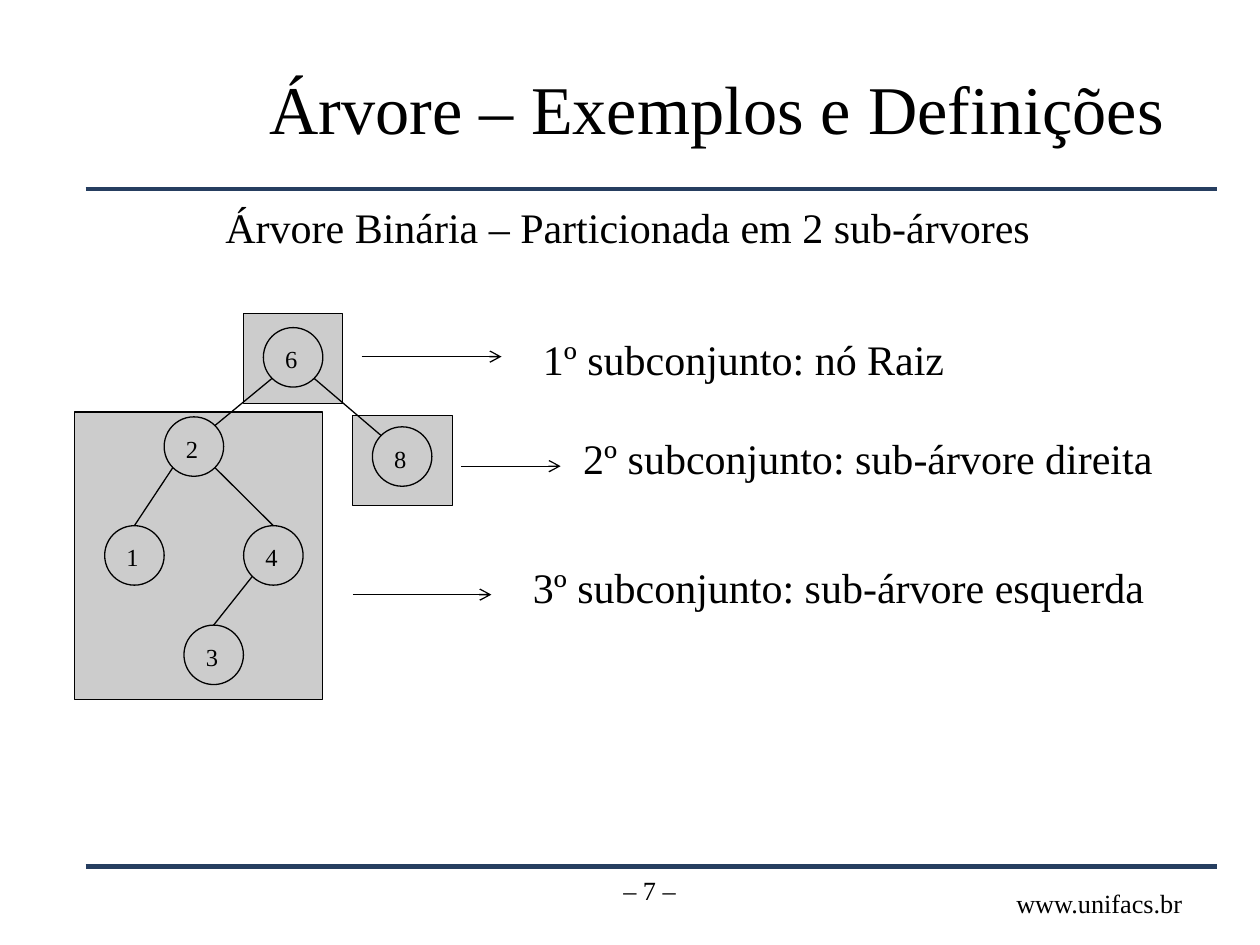
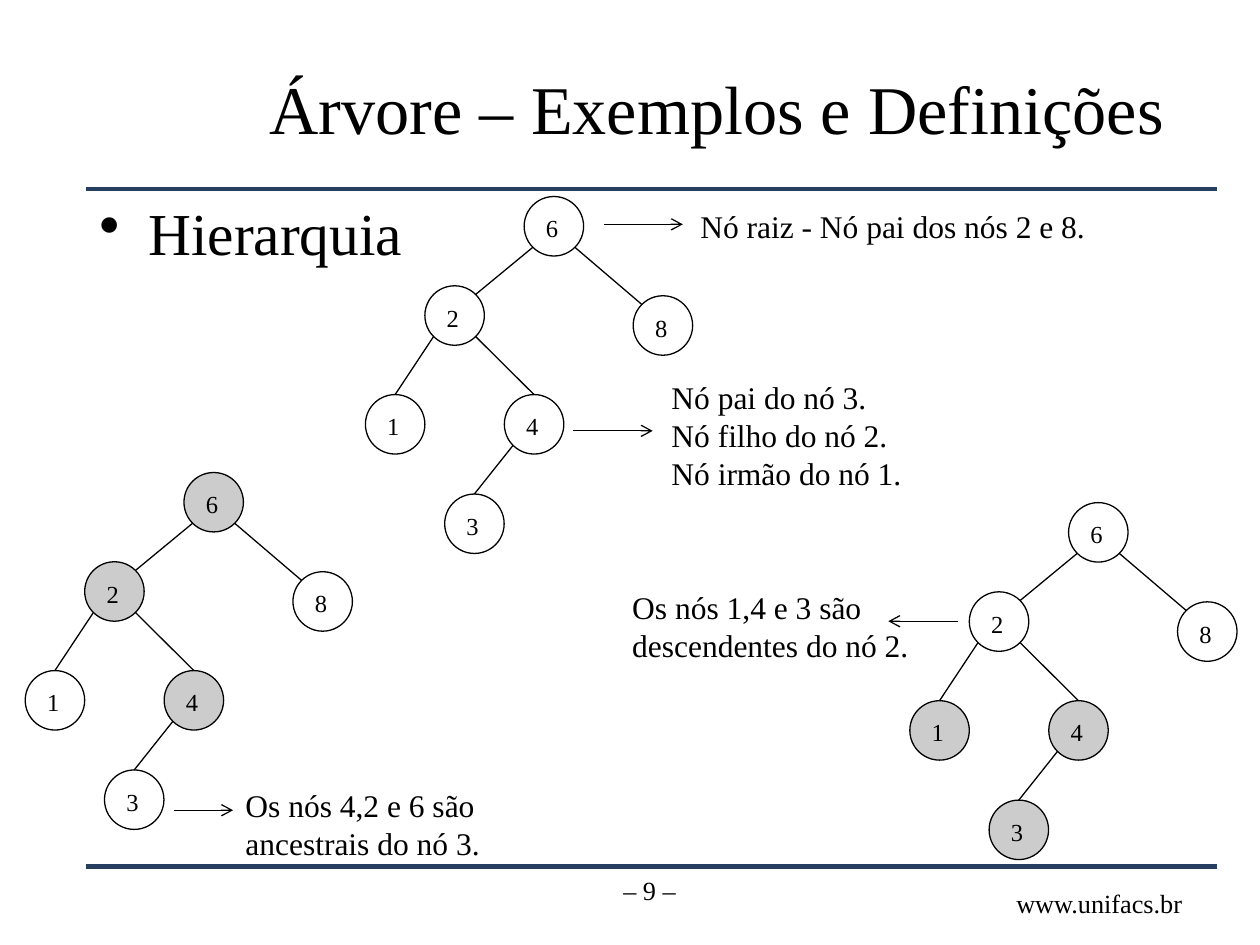
from pptx import Presentation
from pptx.dml.color import RGBColor
from pptx.enum.shapes import MSO_CONNECTOR, MSO_SHAPE
from pptx.enum.text import MSO_ANCHOR, MSO_AUTO_SIZE, PP_ALIGN
from pptx.oxml.ns import qn
from pptx.util import Pt
from lxml.etree import SubElement

COLORS = {"black": "000000", "rule": "263E60", "grey": "CCCCCC"}
FONT = "Times New Roman"
TITLE = "Árvore – Exemplos e Definições"
SITE = "www.unifacs.br"

# Tree: node offsets from the root, and edges as parent, child, side of the parent, end on the child
NODE_SIZE = 34
NODES = {"6": (0, 0), "2": (-56.7, 51), "8": (62.3, 56.7),
         "1": (-90.7, 113.2), "4": (-11.3, 113.2), "3": (-45.4, 170)}
EDGES = [("6", "2", "left", "top right"), ("6", "8", "right", "top left"),
         ("2", "1", "left", "top"), ("2", "4", "right", "top"),
         ("4", "3", "left", "top")]
NEAR, FAR = 0.146, 0.854  # diagonal points of a circle, as shares of its diameter
ANCHORS = {"left": (NEAR, FAR), "right": (FAR, FAR), "top": (0.5, 0),
           "top left": (NEAR, NEAR), "top right": (FAR, NEAR)}

# Callouts: text lines, text box, arrow as (from x, to x, y)
PARTITION = {
    "number": "– 7 –",
    "heading": "Árvore Binária – Particionada em 2 sub-árvores",
    "subsets": [(42.5, 235.4, 141.8, 164.2), (201.6, 237.6, 56.9, 51.1),
                (139, 179.3, 56.9, 51.1)],
    "trees": [((150.5, 187.2), "")],
    "size": 24,
    "callouts": [
        (["1º subconjunto: nó Raiz"], (303.1, 187.2, 246.2, 36), (206.6, 286.6, 203.8)),
        (["2º subconjunto: sub-árvore direita"], (326.2, 243.4, 342.7, 36),
         (263.5, 320.4, 266.4)),
        (["3º subconjunto: sub-árvore esquerda"], (297.4, 317.5, 367.2, 36),
         (201.6, 280.8, 339.8)),
    ],
}
HIERARCHY = {
    "number": "– 9 –",
    "bullet": "Hierarquia",
    "trees": [((299.5, 112.3), ""), ((105.1, 270), "624"), ((610.6, 287.2), "143")],
    "size": 18,
    "callouts": [
        (["Nó raiz - Nó pai dos nós 2 e 8."], (393.1, 114.5, 236.9, 28.8),
         (344.9, 390.2, 128.2)),
        (["Nó pai do nó 3.", "Nó filho do nó 2.", "Nó irmão do nó 1."],
         (376.6, 212.4, 147.6, 72.7), (327.6, 373, 246.2)),
        (["Os nós 4,2 e 6 são", "ancestrais do nó 3."], (133.2, 445.7, 151.2, 51.1),
         (99.4, 133.2, 463)),
        (["Os nós 1,4 e 3 são", "descendentes do nó 2."], (354.2, 332.6, 174.2, 51.1),
         (547.2, 507.6, 355)),
    ],
}


def color(name):
    return RGBColor.from_string(COLORS[name])


def points(values):
    return [Pt(value) for value in values]


def write(shape, lines, size=14, align=PP_ALIGN.LEFT, anchor=MSO_ANCHOR.TOP, wrap=True,
          insets=(7.2, 3.6, 7.2, 3.6), spacing=None, bullet_indent=None):
    frame = shape.text_frame
    frame.auto_size = MSO_AUTO_SIZE.NONE
    frame.word_wrap = wrap
    frame.vertical_anchor = anchor
    (frame.margin_left, frame.margin_top,
     frame.margin_right, frame.margin_bottom) = points(insets)
    frame.text = "\n".join(lines)
    for para in frame.paragraphs:
        if bullet_indent:
            props = para._p.get_or_add_pPr()
            props.set("marL", str(Pt(bullet_indent)))
            props.set("indent", str(-Pt(bullet_indent)))
            SubElement(props, qn("a:buChar"), char="•")
        para.alignment = align
        if spacing:
            para.line_spacing = spacing
        for span in para.runs:
            span.font.size = Pt(size)
            span.font.name = FONT
            span.font.color.rgb = color("black")


def add_text(page, lines, place, **style):
    write(page.shapes.add_textbox(*points(place)), lines, **style)


def add_line(shapes, start, end, ink="black", width=0.75, arrow=False):
    line = shapes.add_connector(MSO_CONNECTOR.STRAIGHT, *points((*start, *end)))
    line.line.color.rgb = color(ink)
    line.line.width = Pt(width)
    if arrow:
        SubElement(line.line._get_or_add_ln(), qn("a:tailEnd"), type="arrow")
    SubElement(line._element.spPr, qn("a:effectLst"))


def add_outlined(shapes, kind, place, filled):
    shape = shapes.add_shape(kind, *points(place))
    shape.shadow.inherit = False
    shape.line.color.rgb = color("black")
    shape.line.width = Pt(0.75)
    if filled:
        shape.fill.solid()
        shape.fill.fore_color.rgb = color("grey")
    else:
        shape.fill.background()
    return shape


def add_tree(page, root, marked):
    shapes = page.shapes.add_group_shape().shapes
    corners = {name: (root[0] + dx, root[1] + dy) for name, (dx, dy) in NODES.items()}

    def anchor_point(name, anchor):
        return [corner + share * NODE_SIZE
                for corner, share in zip(corners[name], ANCHORS[anchor])]

    for name, corner in corners.items():
        node = add_outlined(shapes, MSO_SHAPE.OVAL, (*corner, NODE_SIZE, NODE_SIZE),
                            name in marked)
        write(node, [name], align=PP_ALIGN.CENTER, anchor=MSO_ANCHOR.MIDDLE,
              wrap=False, insets=(0, 2, 2, 0))
    for parent, child, side, end in EDGES:
        add_line(shapes, anchor_point(parent, side), anchor_point(child, end))


def add_page(deck, content):
    page = deck.slides.add_slide(deck.slide_layouts[5])
    # Rules, footer and title
    for y in (108, 495.4):
        add_line(page.shapes, (49, y), (695.5, y), ink="rule", width=2.83)
    add_text(page, [SITE], (560.9, 508.3, 134.6, 16.6), size=15,
             align=PP_ALIGN.CENTER, insets=(0, 0, 0, 0), spacing=0.96)
    add_text(page, [content["number"]], (287.3, 496.1, 167.8, 37.4), size=15,
             align=PP_ALIGN.CENTER)
    title = page.shapes.title
    title.left, title.top, title.width, title.height = points((146.9, 23, 547.9, 77))
    write(title, [TITLE], size=39, anchor=MSO_ANCHOR.MIDDLE)

    # Heading or bullet
    if "heading" in content:
        add_text(page, [content["heading"]], (121.7, 111.6, 478.8, 36), size=24, wrap=False)
    if "bullet" in content:
        add_text(page, [content["bullet"]], (49.7, 108.7, 645.1, 70.6), size=34,
                 bullet_indent=28)

    # Trees over their subsets, then callouts
    for place in content.get("subsets", []):
        add_outlined(page.shapes, MSO_SHAPE.RECTANGLE, place, True)
    for root, marked in content["trees"]:
        add_tree(page, root, marked)
    for lines, place, (start, end, y) in content["callouts"]:
        add_line(page.shapes, (start, y), (end, y), arrow=True)
        add_text(page, lines, place, size=content["size"], wrap=False)


def main():
    deck = Presentation()
    deck.slide_width, deck.slide_height = Pt(720), Pt(540)
    for content in (PARTITION, HIERARCHY):
        add_page(deck, content)
    deck.save("out.pptx")


if __name__ == "__main__":
    main()
